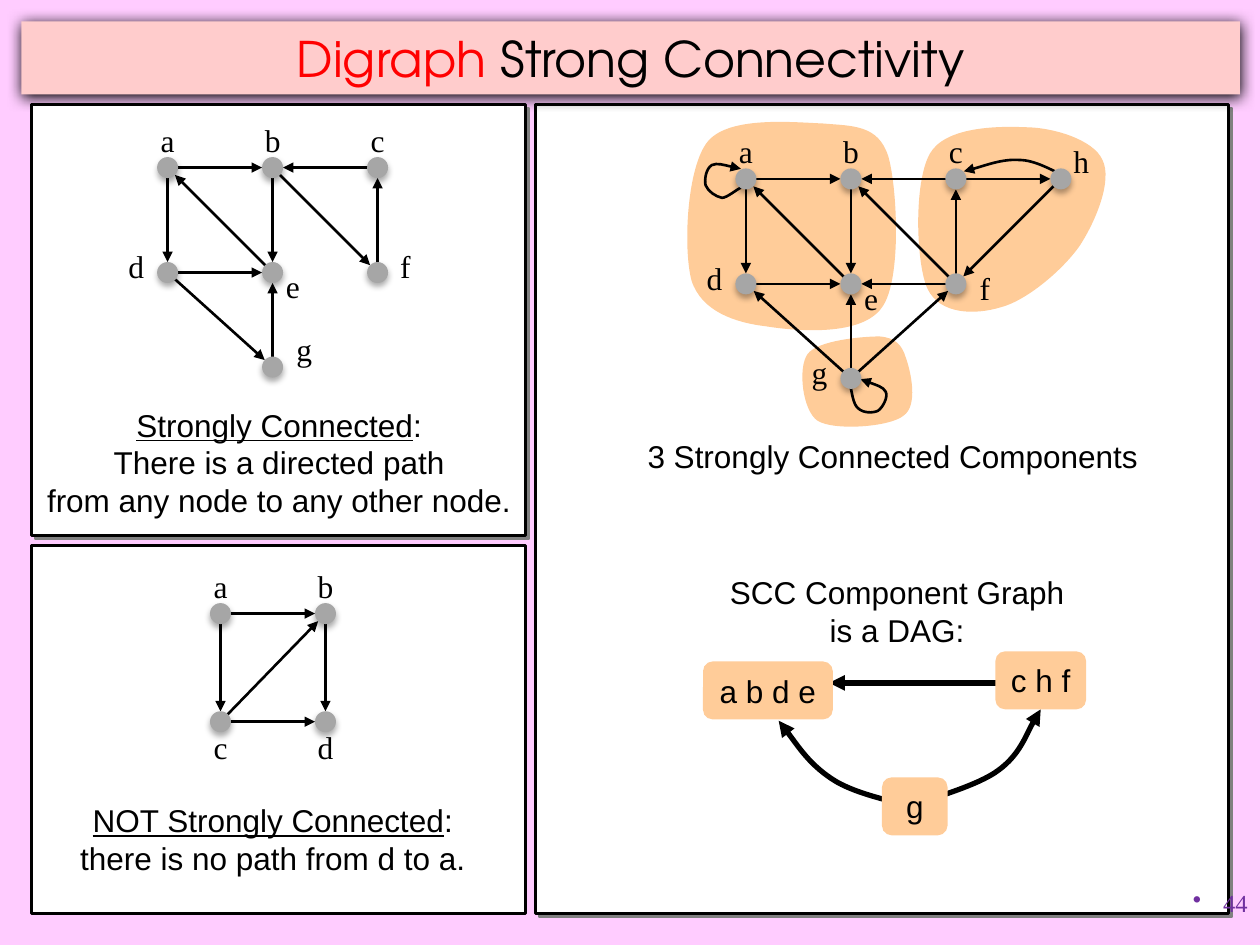
"""Build a slide on strong connectivity in directed graphs."""
from math import hypot

from lxml import etree
from pptx import Presentation
from pptx.dml.color import RGBColor
from pptx.enum.shapes import MSO_CONNECTOR, MSO_SHAPE
from pptx.enum.text import MSO_ANCHOR, PP_ALIGN
from pptx.oxml.ns import qn
from pptx.util import Inches, Pt

RECT, OVAL, ROUNDED = MSO_SHAPE.RECTANGLE, MSO_SHAPE.OVAL, MSO_SHAPE.ROUNDED_RECTANGLE
STRAIGHT = MSO_CONNECTOR.STRAIGHT
TOP, MIDDLE = MSO_ANCHOR.TOP, MSO_ANCHOR.MIDDLE
CENTER, RIGHT = PP_ALIGN.CENTER, PP_ALIGN.RIGHT
COLORS = {"page": "FFCCFF", "title": "FFCCCC", "red": "FF0000", "ink": "000000", "panel": "FFFFFF",
          "component": "FFCC99", "node": "A6A6A6", "shade": "808080", "number": "7030A0"}
SANS, SERIF, HEADING = "Arial", "Times New Roman", "TeX Gyre Adventor"
WIDTH, HEIGHT = 10, 7.5
STEP = WIDTH / 12
NODE = STEP / 5

# color, opacity %, blur pt, distance pt, angle
PANEL_SHADOW = ("shade", 100, 0, 2.8, 45)
TITLE_SHADOW = ("ink", 100, 8.5, 1, 90)
NODE_SHADOW = ("ink", 32, 3.5, 2.2, 90)

TITLE = [[("Digraph", {"color": "red"}), (" Strong Connectivity", {})]]
COMPONENTS = [
    [(5.62, 1.12), (5.79, 0.92), (6.29, 0.97), (6.53, 0.98), (6.77, 1), (6.97, 0.99), (7.05, 1.24),
     (7.12, 1.48), (7.16, 2.22), (7, 2.44), (6.84, 2.67), (6.33, 2.63), (6.08, 2.59),
     (5.83, 2.56), (5.57, 2.47), (5.49, 2.23), (5.42, 1.98), (5.45, 1.32), (5.62, 1.12)],
    [(7.38, 1.22), (7.5, 1.01), (7.9, 1), (8.13, 1.01), (8.36, 1.01), (8.68, 1.11), (8.75, 1.27),
     (8.83, 1.43), (8.7, 1.75), (8.57, 1.95), (8.43, 2.15), (8.14, 2.39), (7.94, 2.44),
     (7.74, 2.5), (7.46, 2.5), (7.36, 2.29), (7.27, 2.09), (7.25, 1.45), (7.38, 1.22)],
    [(6.41, 2.81), (6.49, 2.7), (6.85, 2.67), (6.98, 2.67), (7.11, 2.68), (7.16, 2.74), (7.19, 2.84),
     (7.23, 2.95), (7.29, 3.22), (7.17, 3.3), (7.06, 3.39), (6.62, 3.42), (6.49, 3.34),
     (6.37, 3.26), (6.33, 2.92), (6.41, 2.81)],
]
ABOVE, BELOW, LEFT, INNER = (0, -0.22), (0, 0.2), (-0.25, -0.05), (0.16, 0.11)
# nodes: column, row, label offset
GRAPHS = [
    {"origin": (1.33, 1.33), "panel": (0.25, 0.83, 3.92, 3.42), "shadow": PANEL_SHADOW,
     "nodes": {"a": (0, 0, ABOVE), "b": (1, 0, ABOVE), "c": (2, 0, ABOVE), "d": (0, 1, LEFT),
               "e": (1, 1, INNER), "f": (2, 1, (0.22, -0.05)), "g": (1, 1.9, (0.25, -0.14))},
     "edges": "ab be ea ad de dg ge cb bf fc", "curves": [],
     "caption": [[("Strongly Connected", {"underline": True}), (":", {})],
                 [("There is a directed path\nfrom any node to any other node.", {})]],
     "caption_at": (0.25, 3.17, 3.93, 1)},
    {"origin": (1.75, 4.87), "panel": (0.25, 4.33, 3.92, 2.92), "shadow": None,
     "nodes": {"a": (0, 0, ABOVE), "b": (1, 0, ABOVE), "c": (0, 1.03, BELOW), "d": (1, 1.03, BELOW)},
     "edges": "ab bd cb ac cd", "curves": [],
     "caption": [[("NOT Strongly Connected", {"underline": True}), (":", {})],
                 [("there is no path from d to a.", {})]],
     "caption_at": (0.5, 6.31, 3.33, 0.7)},
    {"origin": (5.92, 1.42), "panel": None,
     "nodes": {"a": (0, 0, ABOVE), "b": (1, 0, ABOVE), "c": (2, 0, ABOVE), "h": (3, 0, (0.16, -0.14)),
               "d": (0, 1, LEFT), "e": (1, 1, INNER), "f": (2, 1, (0.23, 0.03)), "g": (1, 1.9, LEFT)},
     "edges": "ch fe ab be ea ad de gd gf cb fb fc ge hf",
     "curves": [
         [(8.42, 1.38), (8.36, 1.36), (8.22, 1.27), (8.09, 1.27), (7.96, 1.26), (7.74, 1.34), (7.65, 1.36)],
         [(5.88, 1.49), (5.85, 1.5), (5.77, 1.57), (5.73, 1.57), (5.68, 1.56), (5.62, 1.52), (5.6, 1.47),
          (5.59, 1.43), (5.6, 1.34), (5.65, 1.31), (5.69, 1.29), (5.83, 1.33), (5.88, 1.34)],
         [(6.75, 3.07), (6.76, 3.1), (6.77, 3.21), (6.81, 3.24), (6.85, 3.28), (6.93, 3.28), (6.97, 3.26),
          (7.01, 3.23), (7.05, 3.15), (7.03, 3.11), (7.01, 3.07), (6.88, 3.03), (6.83, 3.01)]],
     "caption": [[("3 Strongly Connected Components", {})]],
     "caption_at": (5, 3.42, 4.17, 0.4)},
]
DAG_CAPTION = [[("SCC Component Graph\nis a DAG:", {})]]
DAG_CURVES = [
    [(7.26, 6.39), (7.37, 6.34), (7.76, 6.24), (7.93, 6.11), (8.09, 5.99), (8.19, 5.73), (8.26, 5.63)],
    [(7.26, 6.41), (7.15, 6.37), (6.79, 6.31), (6.6, 6.18), (6.42, 6.06), (6.27, 5.83), (6.18, 5.72)]]
DAG_BOXES = [("g", (7, 6.17, 0.52, 0.46)), ("c h f", (7.9, 5.17, 0.72, 0.46)),
             ("a b d e", (5.58, 5.25, 1.03, 0.46))]


def rgb(name):
    return RGBColor.from_string(COLORS[name])


def inches(values):
    return [Inches(value) for value in values]


def set_effect(shape, shadow=None):
    effects = etree.SubElement(shape._element.spPr, qn("a:effectLst"))
    if shadow:
        color, opacity, blur, distance, angle = shadow
        outer = etree.SubElement(effects, qn("a:outerShdw"), blurRad=str(Pt(blur)), dist=str(Pt(distance)),
                                 dir=str(angle * 60000), algn="ctr", rotWithShape="0")
        tint = etree.SubElement(outer, qn("a:srgbClr"), val=COLORS[color])
        etree.SubElement(tint, qn("a:alpha"), val=str(opacity * 1000))


def paint(shape, fill=None, line=0, shadow=None):
    if fill:
        shape.fill.solid()
        shape.fill.fore_color.rgb = rgb(fill)
    else:
        shape.fill.background()
    if line:
        shape.line.color.rgb = rgb("ink")
        shape.line.width = Pt(line)
    else:
        shape.line.fill.background()
    set_effect(shape, shadow)
    return shape


def add_block(shapes, kind, area, **style):
    return paint(shapes.add_shape(kind, *inches(area)), **style)


def add_arrowhead(shape):
    etree.SubElement(shape.line._get_or_add_ln(), qn("a:tailEnd"), type="triangle")


def add_arrow(shapes, start, end, width=1.5):
    arrow = shapes.add_connector(STRAIGHT, *inches(start + end))
    arrow.line.color.rgb = rgb("ink")
    arrow.line.width = Pt(width)
    set_effect(arrow)
    add_arrowhead(arrow)


def add_curve(shapes, points, closed=False, **style):
    start, *rest = [tuple(inches(point)) for point in points]
    builder = shapes.build_freeform(*start)
    builder.add_line_segments(rest, close=closed)
    curve = builder.convert_to_shape()
    segments = list(curve._element.iter(qn("a:lnTo")))
    for first, second, third in zip(segments[::3], segments[1::3], segments[2::3]):
        first.tag = qn("a:cubicBezTo")
        for segment in (second, third):
            first.append(segment[0])
            segment.getparent().remove(segment)
    return paint(curve, **style)


def write(box, paragraphs, font=SANS, size=18, color="ink", align=CENTER, anchor=TOP, wrap=True):
    frame = box.text_frame
    frame.word_wrap = wrap
    frame.vertical_anchor = anchor
    for index, runs in enumerate(paragraphs):
        para = frame.add_paragraph() if index else frame.paragraphs[0]
        para.alignment = align
        for text, extra in runs:
            for number, piece in enumerate(text.split("\n")):
                if number:
                    para.add_line_break()
                span = para.add_run()
                span.text = piece
                span.font.name, span.font.size = font, Pt(size)
                span.font.color.rgb = rgb(extra.get("color", color))
                span.font.underline = extra.get("underline", False)


def add_text(shapes, area, paragraphs, **style):
    box = shapes.add_textbox(*inches(area))
    write(box, paragraphs, **style)
    return box


def add_graph(page, graph):
    shapes = page.shapes.add_group_shape().shapes
    if graph["panel"]:
        add_block(shapes, RECT, graph["panel"], fill="panel", line=1.5, shadow=graph["shadow"])
    left, top = graph["origin"]
    places = {name: (left + column * STEP, top + row * STEP)
              for name, (column, row, _) in graph["nodes"].items()}
    for source, target in graph["edges"].split():
        start, end = places[source], places[target]
        share = 1 - NODE / 2 / hypot(end[0] - start[0], end[1] - start[1])
        add_arrow(shapes, start, tuple(a + (b - a) * share for a, b in zip(start, end)))
    for points in graph["curves"]:
        add_arrowhead(add_curve(shapes, points, line=1.5))
    for name, (x, y) in places.items():
        add_block(shapes, OVAL, (x - NODE / 2, y - NODE / 2, NODE, NODE), fill="node", shadow=NODE_SHADOW)
        across, down = graph["nodes"][name][2]
        add_text(shapes, (x + across - 0.16, y + down - 0.2, 0.32, 0.4), [[(name, {})]],
                 font=SERIF, wrap=False)
    add_text(shapes, graph["caption_at"], graph["caption"])


def add_component_graph(page):
    shapes = page.shapes.add_group_shape().shapes
    add_arrow(shapes, (8.08, 5.42), (6.58, 5.42), width=3)
    for points in DAG_CURVES:
        add_arrowhead(add_curve(shapes, points, line=3))
    for text, area in DAG_BOXES:
        box = add_block(shapes, ROUNDED, area, fill="component")
        write(box, [[(text, {})]], anchor=MIDDLE, wrap=False)
    add_text(shapes, (5.33, 4.5, 3.58, 0.7), DAG_CAPTION)


def main():
    deck = Presentation()
    deck.slide_width, deck.slide_height = Inches(WIDTH), Inches(HEIGHT)
    page = deck.slides.add_slide(deck.slide_layouts[5])
    page.background.fill.solid()
    page.background.fill.fore_color.rgb = rgb("page")
    add_block(page.shapes, RECT, (4.25, 0.83, 5.5, 6.42), fill="panel", line=1.5, shadow=PANEL_SHADOW)
    for points in COMPONENTS:
        add_curve(page.shapes, points, closed=True, fill="component")
    title = page.shapes.title
    title.left, title.top, title.width, title.height = inches((0.17, 0.17, 9.67, 0.58))
    paint(title, fill="title", shadow=TITLE_SHADOW)
    write(title, TITLE, font=HEADING, size=28, anchor=MIDDLE)
    page.shapes._spTree.append(title._element)
    for graph in GRAPHS:
        add_graph(page, graph)
    add_component_graph(page)
    number = add_text(page.shapes, (7.92, 7, 2.08, 0.5), [[("44", {})]], font=SERIF, size=14,
                      color="number", align=RIGHT)
    layout = number.text_frame.paragraphs[0]._p.get_or_add_pPr()
    layout.set("marL", str(Inches(0.24)))
    layout.set("indent", str(Inches(-0.24)))
    etree.SubElement(layout, qn("a:buChar"), char="•")
    deck.save("out.pptx")


if __name__ == "__main__":
    main()
